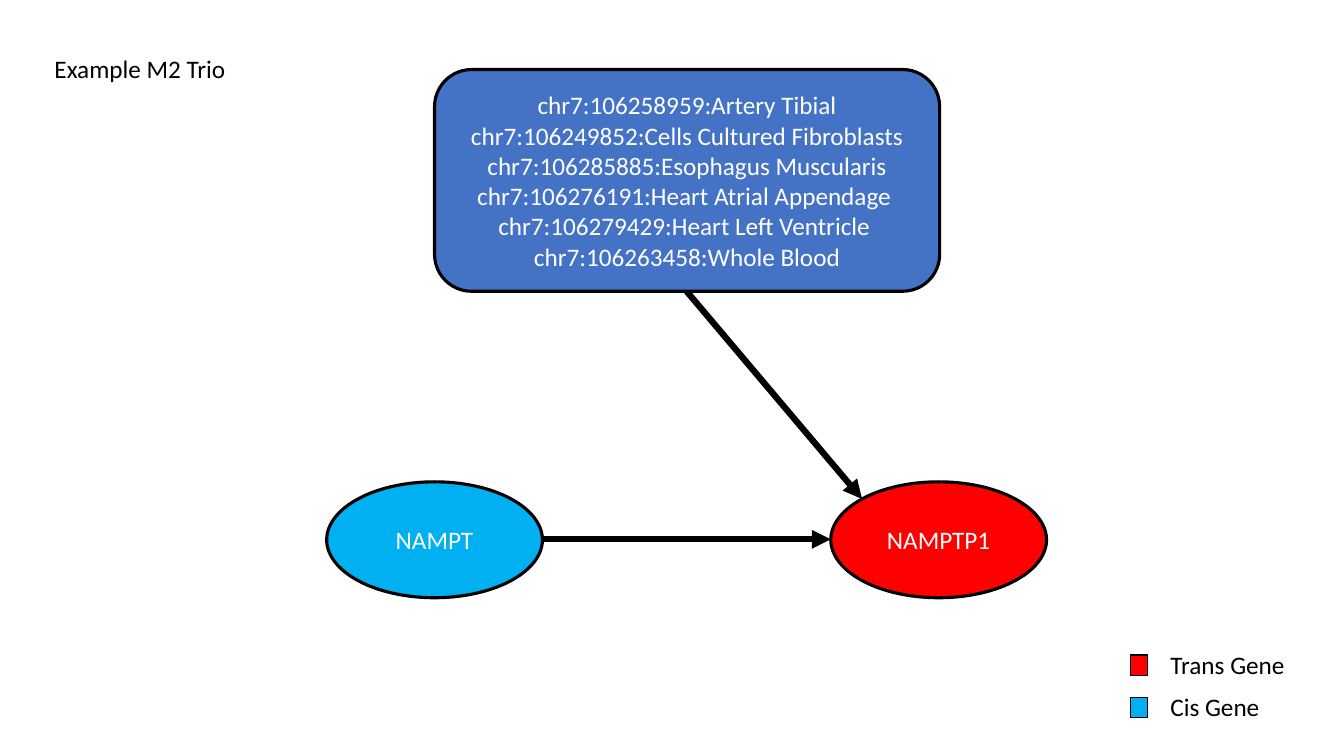
from dataclasses import dataclass

import pptx
import pptx.dml.color
import pptx.enum.shapes
import pptx.enum.text
import pptx.oxml
import pptx.oxml.ns
import pptx.util
from pptx.util import Inches

SHAPES = pptx.enum.shapes.MSO_SHAPE
ALIGN = pptx.enum.text.PP_ALIGN
ANCHOR = pptx.enum.text.MSO_ANCHOR


@dataclass(frozen=True)
class Theme:
    font: str = "Calibri"
    text_size: float = 18
    black: str = "000000"
    white: str = "FFFFFF"
    variants: str = "4472C4"
    cis: str = "00B0F0"
    trans: str = "FF0000"
    node_line: float = 2.25
    arrow_line: float = 4.5
    swatch_line: float = 1


THEME = Theme()

VARIANTS = [
    "chr7:106258959:Artery Tibial",
    "chr7:106249852:Cells Cultured Fibroblasts",
    "chr7:106285885:Esophagus Muscularis",
    "chr7:106276191:Heart Atrial Appendage ",
    "chr7:106279429:Heart Left Ventricle ",
    "chr7:106263458:Whole Blood",
]
LEGEND = [("Trans Gene", THEME.trans, 1.35), ("Cis Gene", THEME.cis, 1.1)]


def rgb(color):
    return pptx.dml.color.RGBColor.from_string(color)


def write_lines(frame, lines, color, alignment):
    frame.text = "\n".join(lines)
    for paragraph in frame.paragraphs:
        paragraph.alignment = alignment
        paragraph.font.name = THEME.font
        paragraph.font.size = pptx.util.Pt(THEME.text_size)
        paragraph.font.color.rgb = rgb(color)


def set_line(line, width):
    line.color.rgb = rgb(THEME.black)
    line.width = pptx.util.Pt(width)


def add_outlined_shape(slide, kind, box, fill, line_width):
    shape = slide.shapes.add_shape(kind, *map(Inches, box))
    shape.shadow.inherit = False
    shape.fill.solid()
    shape.fill.fore_color.rgb = rgb(fill)
    set_line(shape.line, line_width)
    return shape


def add_node(slide, kind, box, fill, lines):
    node = add_outlined_shape(slide, kind, box, fill, THEME.node_line)
    node.text_frame.vertical_anchor = ANCHOR.MIDDLE
    write_lines(node.text_frame, lines, THEME.white, ALIGN.CENTER)


def add_arrow(slide, start, end):
    arrow = slide.shapes.add_connector(
        pptx.enum.shapes.MSO_CONNECTOR.STRAIGHT, *map(Inches, start + end))
    set_line(arrow.line, THEME.arrow_line)
    namespace = pptx.oxml.ns.nsdecls("a")
    arrow.line._get_or_add_ln().append(
        pptx.oxml.parse_xml(f'<a:tailEnd {namespace} type="triangle"/>'))
    arrow._element.spPr.append(
        pptx.oxml.parse_xml(f"<a:effectLst {namespace}/>"))


def format_label(shape, text):
    """Fill a one-line, left-aligned label that does not wrap."""
    frame = shape.text_frame
    frame.word_wrap = False
    frame.auto_size = pptx.enum.text.MSO_AUTO_SIZE.SHAPE_TO_FIT_TEXT
    frame.vertical_anchor = ANCHOR.TOP
    write_lines(frame, [text], THEME.black, ALIGN.LEFT)


def set_title(slide, text, box):
    title = slide.shapes.title
    title.left, title.top, title.width, title.height = map(Inches, box)
    format_label(title, text)


def add_legend(slide, left, top, row_step):
    for row, (text, color, width) in enumerate(LEGEND):
        row_top = top + row * row_step
        add_outlined_shape(slide, SHAPES.RECTANGLE,
                           (left, row_top + 0.11, 0.17, 0.2),
                           color, THEME.swatch_line)
        label = slide.shapes.add_textbox(
            *map(Inches, (left + 0.3, row_top, width, 0.4)))
        format_label(label, text)


def main():
    presentation = pptx.Presentation()
    presentation.slide_width = Inches(13.33)
    presentation.slide_height = Inches(7.5)
    slide = presentation.slides.add_slide(
        presentation.slide_layouts.get_by_name("Title Only"))

    set_title(slide, "Example M2 Trio", (0.44, 0.48, 1.91, 0.4))
    add_node(slide, SHAPES.OVAL, (3.24, 4.78, 2.14, 1.15), THEME.cis, ["NAMPT"])
    add_node(slide, SHAPES.OVAL, (8.24, 4.78, 2.14, 1.15), THEME.trans, ["NAMPTP1"])
    add_arrow(slide, (6.81, 2.89), (8.55, 4.95))
    add_arrow(slide, (5.37, 5.35), (8.24, 5.35))
    add_legend(slide, left=11.21, top=6.39, row_step=0.42)
    add_node(slide, SHAPES.ROUNDED_RECTANGLE, (4.31, 0.69, 5.01, 2.2),
             THEME.variants, VARIANTS)

    presentation.save("out.pptx")


if __name__ == "__main__":
    main()
